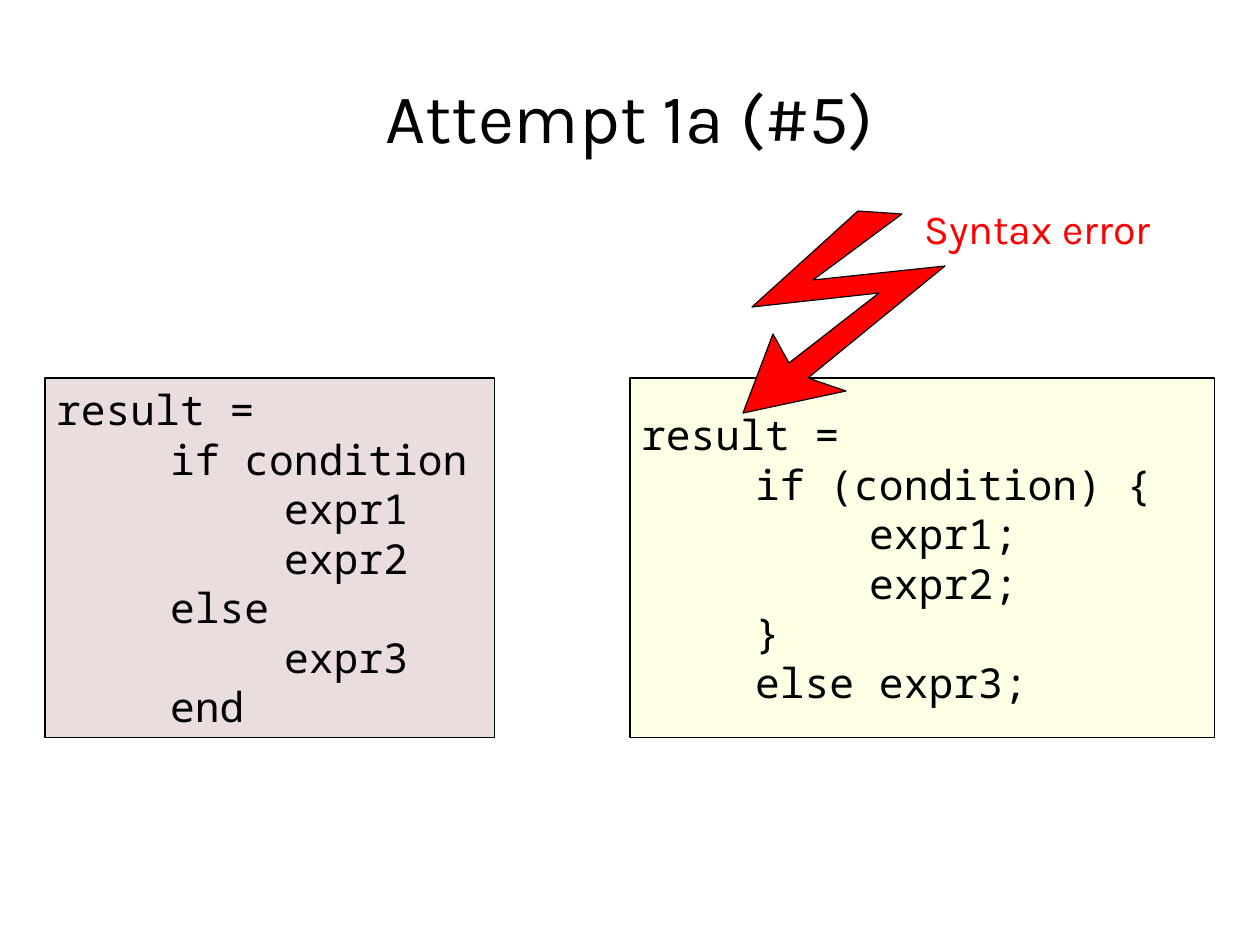
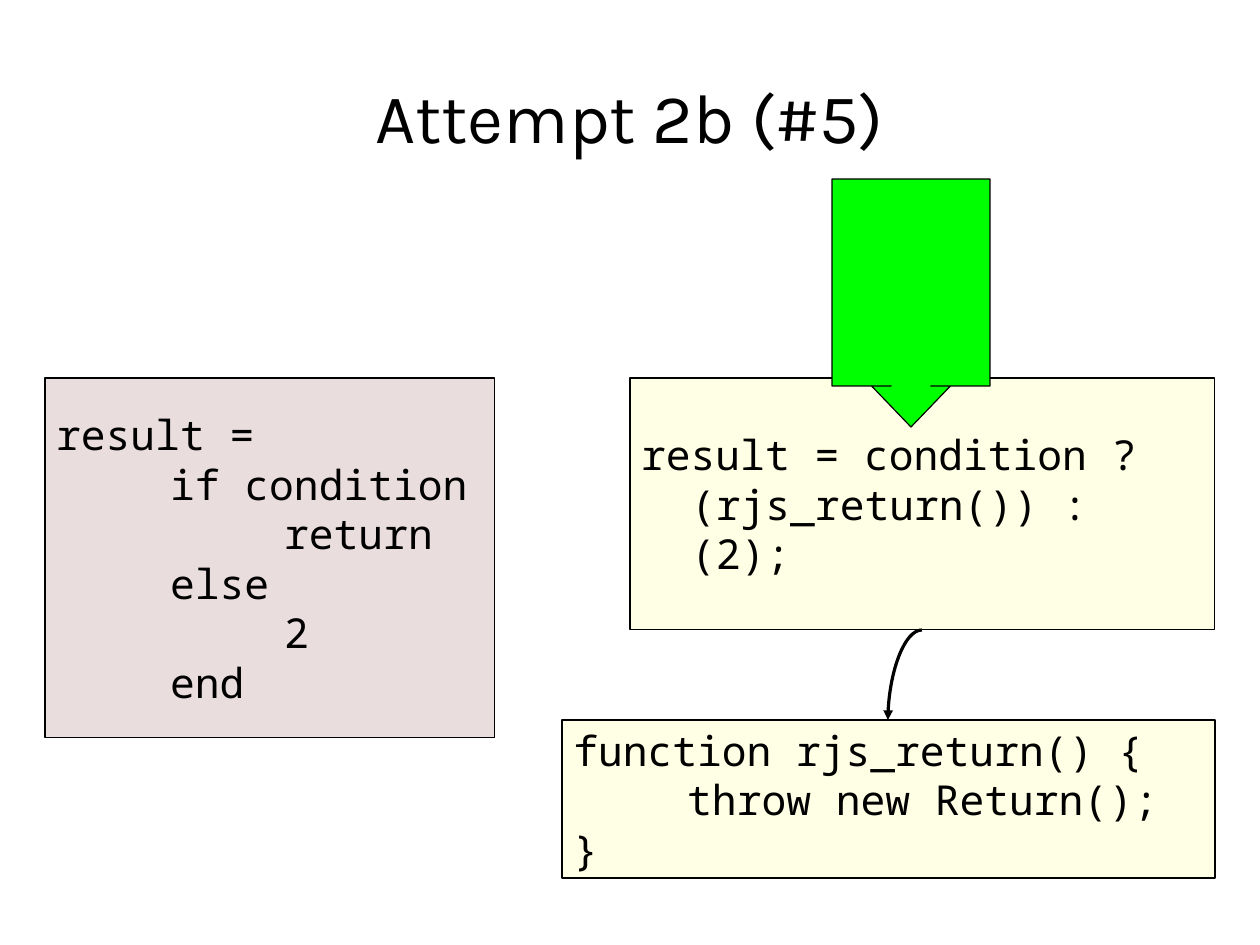
from lxml import etree
from pptx import Presentation
from pptx.dml.color import RGBColor
from pptx.enum.shapes import MSO_CONNECTOR, MSO_SHAPE
from pptx.enum.text import MSO_ANCHOR, PP_ALIGN
from pptx.oxml.ns import qn
from pptx.util import Pt

PX = 8000
SLIDE_SIZE = (1260, 945)
BLANK_LAYOUT = 6

BLACK = RGBColor(0x00, 0x00, 0x00)
RED = RGBColor(0xFF, 0x00, 0x00)
GREEN = RGBColor(0x00, 0xFF, 0x00)
ROSE = RGBColor(0xD6, 0xBC, 0xBC)
CREAM = RGBColor(0xFF, 0xFF, 0xCC)

TITLE_FONT = "Karla"
CODE_FONT = "Noto Sans Mono"
TITLE_SIZE = 44
BODY_SIZE = 26

RECTANGLE = MSO_SHAPE.RECTANGLE
DOWN_CALLOUT = MSO_SHAPE.DOWN_ARROW_CALLOUT
CURVE = MSO_CONNECTOR.CURVE
MIDDLE = MSO_ANCHOR.MIDDLE
TOP = MSO_ANCHOR.TOP
LEFT = PP_ALIGN.LEFT
CENTER = PP_ALIGN.CENTER

TITLE_BOX = (63, 43, 1134, 146)
SOURCE_BOX = (45, 378, 450, 360)
OUTPUT_BOX = (630, 378, 585, 360)
SHORT_OUTPUT_BOX = (630, 378, 585, 252)
HELPER_BOX = (562, 720, 653, 158)
BOLT_BOX = (743, 211, 202, 202)
ERROR_BOX = (913, 198, 279, 59)
CALLOUT_BOX = (832, 179, 158, 248)

TAB = 114
TWO_SPACES = 50
BOLT_POINTS = [(202, 55), (70, 69), (159, 3), (115, 0), (9, 96), (136, 82),
               (46, 152), (30, 123), (0, 202), (103, 180), (65, 167)]
CALLOUT_ADJUSTMENTS = (0.25, 0.25, 0.26, 0.93)


def emu(*lengths):
    """Turn px lengths into EMU."""
    return [length * PX for length in lengths]


def add_run(paragraph, text, font_name, size, color):
    """Append one styled run to a paragraph."""
    run = paragraph.add_run()
    run.text = text
    run.font.name = font_name
    run.font.size = Pt(size)
    run.font.color.rgb = color


def paint(shape, color):
    """Give a shape a flat fill and a black hairline."""
    shape.shadow.inherit = False
    shape.fill.solid()
    shape.fill.fore_color.rgb = color
    shape.line.color.rgb = BLACK
    shape.line.width = 0


def make_half_transparent(shape):
    """Set the opacity of a solid fill to one half."""
    color = shape.fill._xPr.find(qn("a:solidFill"))[0]
    etree.SubElement(color, qn("a:alpha")).set("val", "50000")


def add_label(slide, box, text, size, color, alignment=LEFT, anchor=TOP, wrap=True):
    """Place a line of text in the title font."""
    frame = slide.shapes.add_textbox(*emu(*box)).text_frame
    frame.word_wrap = wrap
    frame.vertical_anchor = anchor
    paragraph = frame.paragraphs[0]
    paragraph.alignment = alignment
    add_run(paragraph, text, TITLE_FONT, size, color)


def add_code(slide, box, color, lines):
    """Draw a code panel from pairs of left indent and text."""
    panel = slide.shapes.add_shape(RECTANGLE, *emu(*box))
    paint(panel, color)
    make_half_transparent(panel)
    frame = panel.text_frame
    frame.word_wrap = True
    frame.vertical_anchor = MIDDLE
    for index, (indent, text) in enumerate(lines):
        paragraph = frame.add_paragraph() if index else frame.paragraphs[0]
        paragraph.alignment = LEFT
        properties = paragraph._p.get_or_add_pPr()
        properties.set("marL", str(indent * PX))
        properties.set("indent", "0")
        add_run(paragraph, text, CODE_FONT, BODY_SIZE, BLACK)


def add_bolt(slide, box):
    """Draw the red lightning arrow from the corner of its box."""
    left, top = box[:2]
    points = [(left + x, top + y) for x, y in BOLT_POINTS]
    builder = slide.shapes.build_freeform(*points[0], scale=PX)
    builder.add_line_segments(points[1:], close=True)
    paint(builder.convert_to_shape(), RED)


def add_callout(slide, box):
    """Draw the green callout that points down."""
    callout = slide.shapes.add_shape(DOWN_CALLOUT, *emu(*box))
    paint(callout, GREEN)
    for index, value in enumerate(CALLOUT_ADJUSTMENTS):
        callout.adjustments[index] = value


def add_curved_arrow(slide, upper_box, lower_box):
    """Join the bottom centre of one box to the top centre of another."""
    left, top, width, height = upper_box
    lower_left, lower_top, lower_width, _ = lower_box
    arrow = slide.shapes.add_connector(CURVE, *emu(
        left + width // 2, top + height, lower_left + lower_width // 2, lower_top))
    arrow.line.color.rgb = BLACK
    arrow.line.width = 0
    etree.SubElement(arrow.line._get_or_add_ln(), qn("a:tailEnd")).set("type", "triangle")
    properties = arrow._element.spPr
    properties.find(qn("a:prstGeom")).set("prst", "curvedConnector2")
    etree.SubElement(properties, qn("a:effectLst"))


def add_attempt(presentation, title, source_lines):
    """Start a slide with its title and source panel."""
    slide = presentation.slides.add_slide(presentation.slide_layouts[BLANK_LAYOUT])
    add_label(slide, TITLE_BOX, title, TITLE_SIZE, BLACK, CENTER, MIDDLE)
    add_code(slide, SOURCE_BOX, ROSE, source_lines)
    return slide


def build_failed_attempt(presentation):
    """Build the slide whose output has a syntax error."""
    slide = add_attempt(presentation, "Attempt 1a (#5)", [
        (0, "result ="),
        (TAB, "if condition"),
        (2 * TAB, "expr1"),
        (2 * TAB, "expr2"),
        (TAB, "else"),
        (2 * TAB, "expr3"),
        (TAB, "end"),
    ])
    add_code(slide, OUTPUT_BOX, CREAM, [
        (0, "result ="),
        (TAB, "if (condition) {"),
        (2 * TAB, "expr1;"),
        (2 * TAB, "expr2;"),
        (TAB, "}"),
        (TAB, "else expr3;"),
    ])
    add_bolt(slide, BOLT_BOX)
    add_label(slide, ERROR_BOX, "Syntax error", BODY_SIZE, RED, wrap=False)


def build_working_attempt(presentation):
    """Build the slide whose output calls a helper function."""
    slide = add_attempt(presentation, "Attempt 2b (#5)", [
        (0, "result ="),
        (TAB, "if condition"),
        (2 * TAB, "return"),
        (TAB, "else"),
        (2 * TAB, "2"),
        (TAB, "end"),
    ])
    add_code(slide, SHORT_OUTPUT_BOX, CREAM, [
        (0, "result = condition ?"),
        (TWO_SPACES, "(rjs_return()) :"),
        (TWO_SPACES, "(2);"),
    ])
    add_code(slide, HELPER_BOX, CREAM, [
        (0, "function rjs_return() {"),
        (TAB, "throw new Return();"),
        (0, "}"),
    ])
    add_callout(slide, CALLOUT_BOX)
    add_curved_arrow(slide, SHORT_OUTPUT_BOX, HELPER_BOX)


def main():
    """Build and save the presentation."""
    presentation = Presentation()
    presentation.slide_width, presentation.slide_height = emu(*SLIDE_SIZE)
    build_failed_attempt(presentation)
    build_working_attempt(presentation)
    presentation.save("out.pptx")


if __name__ == "__main__":
    main()
